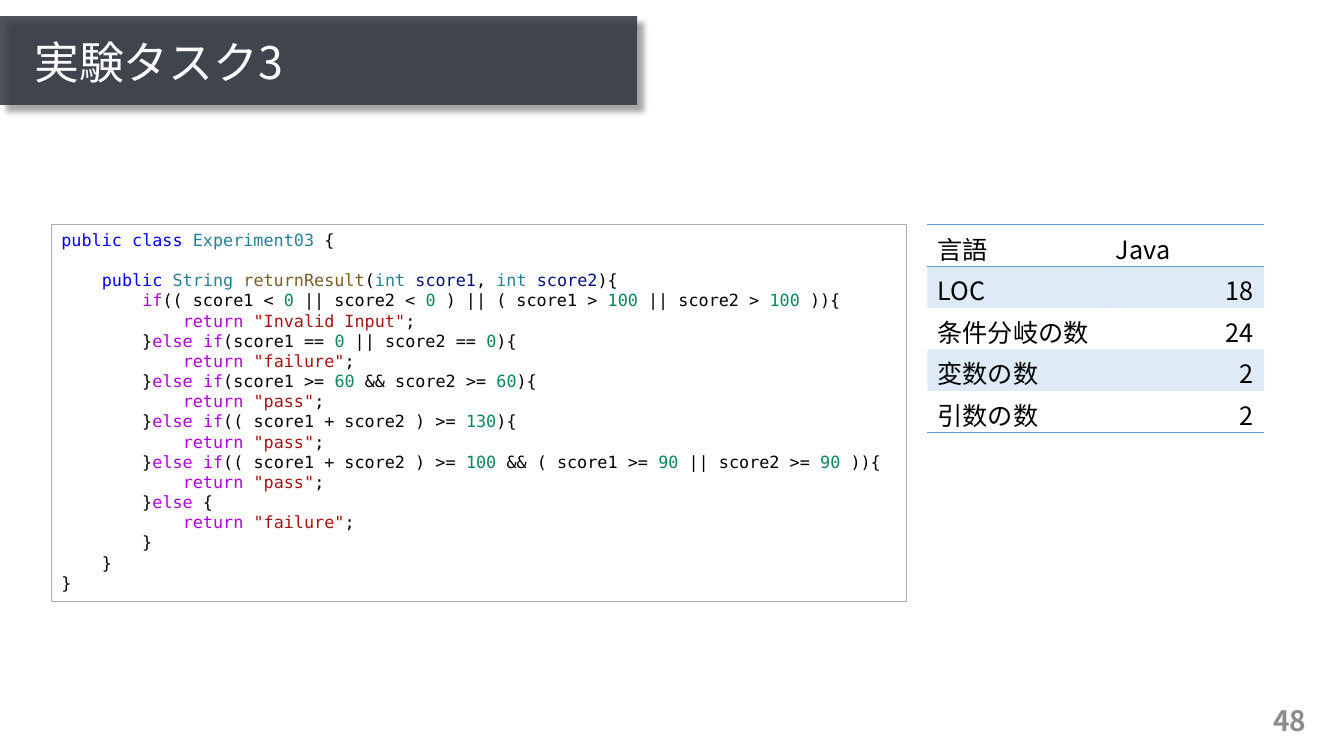
import itertools

import pptx
import pptx.dml.color
import pptx.enum.shapes
import pptx.enum.text
import pptx.oxml
import pptx.oxml.ns
import pptx.util

qn = pptx.oxml.ns.qn
ALIGN = pptx.enum.text.PP_ALIGN
ANCHOR = pptx.enum.text.MSO_ANCHOR
WIDE, HIGH = pptx.util.Inches(13.33), pptx.util.Inches(7.5)
SANS, MONO = "Noto Sans CJK JP", "DejaVu Sans Mono"
PITCH = pptx.util.Pt(14.4)

HUES = {
    "bar": "30353F", "title": "FFFFFF", "page": "8C8C8C", "frame": "AFABAB",
    "rule": "5B9BD5", "text": "000000", "word": "0000FF", "type": "267F99",
    "call": "795E26", "param": "001080", "flow": "AF00DB", "digit": "09885A",
    "quote": "A31515",
}
KINDS = {
    "public": "word", "class": "word", "Experiment03": "type",
    "String": "type", "int": "type", "returnResult": "call",
    "if": "flow", "else": "flow", "return": "flow",
}
CODE = """\
public class Experiment03 {
    public String returnResult(int score1, int score2){
        if(( score1 < 0 || score2 < 0 ) || ( score1 > 100 || score2 > 100 )){
            return "Invalid Input";
        }else if(score1 == 0 || score2 == 0){
            return "failure";
        }else if(score1 >= 60 && score2 >= 60){
            return "pass";
        }else if(( score1 + score2 ) >= 130){
            return "pass";
        }else if(( score1 + score2 ) >= 100 && ( score1 >= 90 || score2 >= 90 )){
            return "pass";
        }else {
            return "failure";
        }
    }
}"""
FACTS = [("言語", "Java"), ("LOC", "18"), ("条件分岐の数", "24"),
         ("変数の数", "2"), ("引数の数", "2")]


def area(left, top, wide, high):
    """Turn percentages of the slide into lengths."""
    return [int(side * part / 100) for side, part in
            zip((WIDE, HIGH, WIDE, HIGH), (left, top, wide, high))]


def hue(name):
    return pptx.dml.color.RGBColor.from_string(HUES[name])


def write(para, text, size=18, color="text", font=SANS, bold=False, align=ALIGN.LEFT):
    para.alignment = align
    run = para.add_run()
    run.text = text
    run.font.size = pptx.util.Pt(size)
    run.font.name = font
    run.font.bold = bold
    run.font.color.rgb = hue(color)
    east = pptx.oxml.parse_xml(
        f'<a:ea {pptx.oxml.ns.nsdecls("a")} typeface="{font}"/>')
    run.font._element.find(qn("a:latin")).addnext(east)


def fade(props, share):
    """Set the opacity, in percent, of a solid fill."""
    color = props.find(qn("a:solidFill") + "/" + qn("a:srgbClr"))
    color.append(pptx.oxml.parse_xml(
        f'<a:alpha {pptx.oxml.ns.nsdecls("a")} val="{share * 1000}"/>'))


def add_rect(slide, place):
    rect = slide.shapes.add_shape(pptx.enum.shapes.MSO_SHAPE.RECTANGLE, *area(*place))
    rect.shadow.inherit = False
    return rect


def add_title(slide, text):
    bar = add_rect(slide, (0, 2.13, 47.4, 11.73))
    bar.fill.solid()
    bar.fill.fore_color.rgb = hue("bar")
    bar.line.fill.background()
    props = bar._element.spPr
    fade(props, 86)
    props.find(qn("a:effectLst")).append(pptx.oxml.parse_xml(
        f'<a:outerShdw {pptx.oxml.ns.nsdecls("a")} blurRad="50800" dist="76200" '
        'dir="2700000" algn="tl" rotWithShape="0"><a:srgbClr val="000000">'
        '<a:alpha val="40000"/></a:srgbClr></a:outerShdw>'))
    title = slide.shapes.title
    title._element.addprevious(bar._element)
    title.left, title.top, title.width, title.height = area(1.8, 3.2, 46, 10.67)
    title.text_frame.vertical_anchor = ANCHOR.MIDDLE
    para = title.text_frame.paragraphs[0]
    para.line_spacing = 0.9
    write(para, text, size=32, color="title")


def split(line):
    """Yield each piece of a code line with its colour name."""
    last = ""
    for spot, part in enumerate(line.split('"')):
        if spot % 2:
            yield f'"{part}"', "quote"
            continue
        for solid, chars in itertools.groupby(part, str.isalnum):
            piece = "".join(chars)
            kind = "digit" if piece.isdigit() else KINDS.get(piece, "text")
            if solid:
                kind = "param" if last == "int" else kind
                last = piece
            yield piece, kind


def add_code(slide, code):
    box = add_rect(slide, (3.83, 29.73, 63.6, 49.87))
    box.fill.background()
    box.line.color.rgb = hue("frame")
    box.line.width = pptx.util.Pt(1)
    frame = box.text_frame
    frame.word_wrap = True
    frame.vertical_anchor = ANCHOR.TOP
    for row, line in enumerate(code.splitlines()):
        para = frame.add_paragraph() if row else frame.paragraphs[0]
        para.line_spacing = PITCH
        if row == 1:
            para.space_before = PITCH
        for piece, kind in split(line):
            write(para, piece, size=12, color=kind, font=MONO)


def rule(cell, side):
    cell._tc.get_or_add_tcPr().append(pptx.oxml.parse_xml(
        f'<a:ln{side} {pptx.oxml.ns.nsdecls("a")} w="12700"><a:solidFill>'
        f'<a:srgbClr val="{HUES["rule"]}"/></a:solidFill></a:ln{side}>'))


def add_facts(slide, facts):
    place = area(69, 29.73, 25.05, 27.07)
    table = slide.shapes.add_table(len(facts), 2, *place).table
    table.first_row = table.horz_banding = False
    plain = "{2D5ABB26-0587-4C30-8999-92F81FD0307C}"
    table._tbl.tblPr.find(qn("a:tableStyleId")).text = plain
    for col, share in zip(table.columns, (0.53, 0.47)):
        col.width = int(place[2] * share)
    for row, pair in enumerate(facts):
        for col, text in enumerate(pair):
            cell = table.cell(row, col)
            cell.margin_bottom = 0
            if row == 0:
                rule(cell, "T")
            if row in (0, len(facts) - 1):
                rule(cell, "B")
            if row % 2:
                cell.fill.solid()
                cell.fill.fore_color.rgb = hue("rule")
                fade(cell._tc.tcPr, 20)
            else:
                cell.fill.background()
            write(cell.text_frame.paragraphs[0], text,
                  align=ALIGN.RIGHT if row and col else ALIGN.LEFT)


def add_page(slide, text):
    frame = slide.shapes.add_textbox(*area(75.45, 92.67, 22.5, 5.33)).text_frame
    frame.word_wrap = True
    frame.vertical_anchor = ANCHOR.MIDDLE
    write(frame.paragraphs[0], text, size=20, color="page", bold=True,
          align=ALIGN.RIGHT)


def main():
    deck = pptx.Presentation()
    deck.slide_width, deck.slide_height = WIDE, HIGH
    slide = deck.slides.add_slide(deck.slide_layouts[5])
    add_title(slide, "実験タスク3")
    add_code(slide, CODE)
    add_facts(slide, FACTS)
    add_page(slide, "48")
    deck.save("out.pptx")


if __name__ == "__main__":
    main()
